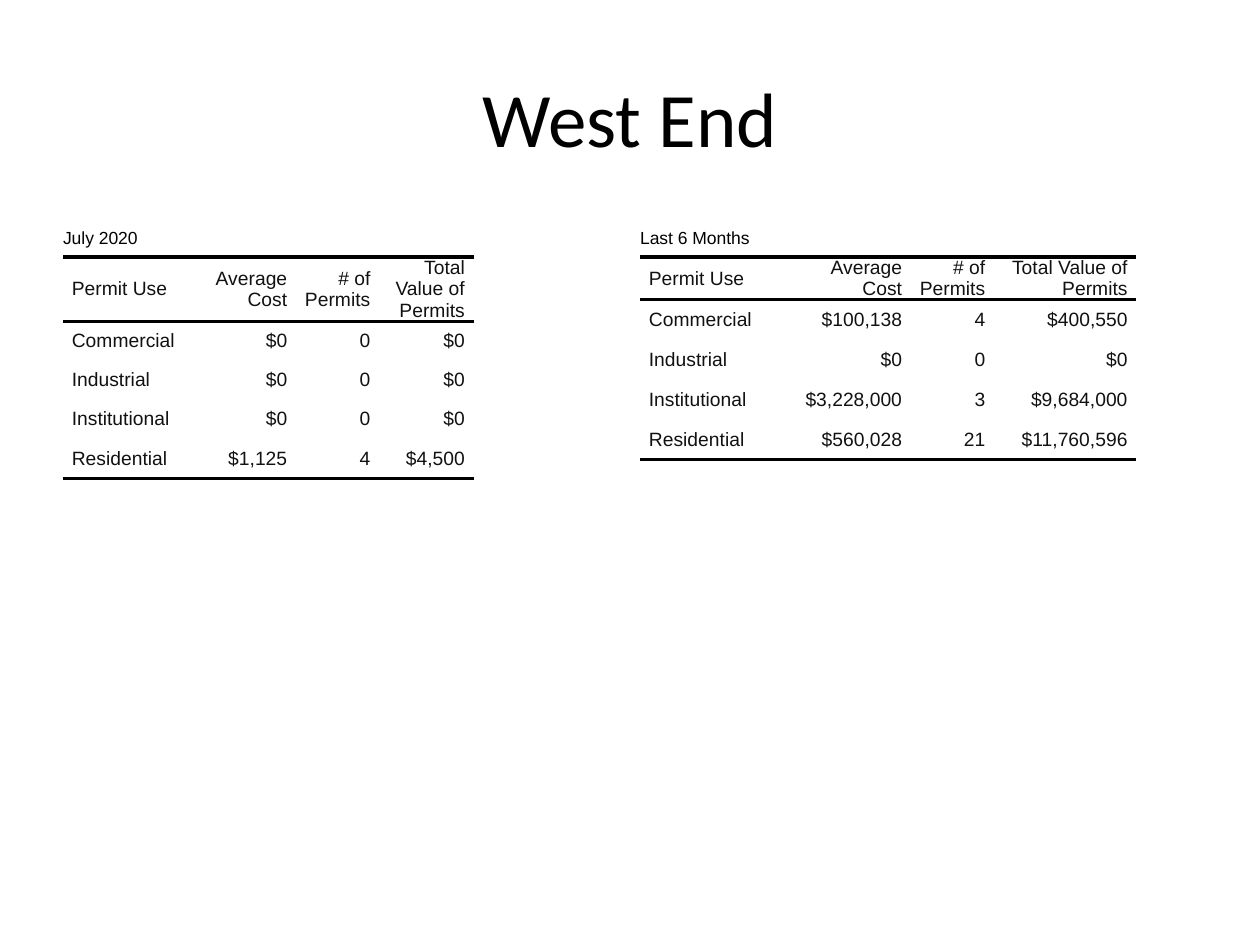
from dataclasses import dataclass

import pptx
import pptx.dml.color
import pptx.enum.text
import pptx.oxml
import pptx.oxml.ns
import pptx.util

EMU_PER_PX = 9144  # 100 px to the inch
PLAIN_TABLE_STYLE = "{2D5ABB26-0587-4C30-8999-92F81FD0307C}"
ALIGN = pptx.enum.text.PP_ALIGN
MIDDLE = pptx.enum.text.MSO_ANCHOR.MIDDLE
INDENT = 7
HEADER = ("Permit Use", "Average Cost", "# of Permits", "Total Value of Permits")
USES = ("Commercial", "Industrial", "Institutional", "Residential")


@dataclass
class PermitTable:
    caption: str
    left: int
    column_widths: tuple[int, ...]
    row_heights: tuple[int, ...]
    values: tuple[tuple[str, str, str], ...]


PERMIT_TABLES = (
    PermitTable(
        "July 2020", 50, (110, 75, 66, 75), (29, 29, 31, 31, 31, 32),
        (("$0", "0", "$0"), ("$0", "0", "$0"), ("$0", "0", "$0"),
         ("$1,125", "4", "$4,500")),
    ),
    PermitTable(
        "Last 6 Months", 508, (110, 105, 66, 113), (29, 29, 32, 31, 32, 32),
        (("$100,138", "4", "$400,550"), ("$0", "0", "$0"),
         ("$3,228,000", "3", "$9,684,000"), ("$560,028", "21", "$11,760,596")),
    ),
)


def px(length: int) -> pptx.util.Emu:
    return pptx.util.Emu(length * EMU_PER_PX)


def color(value: str) -> pptx.dml.color.RGBColor:
    return pptx.dml.color.RGBColor.from_string(value)


def format_paragraph(paragraph, font: str, size: int, ink: str, align) -> None:
    paragraph.alignment = align
    for run in paragraph.runs:
        run.font.name = font
        run.font.size = pptx.util.Pt(size)
        run.font.color.rgb = color(ink)


def add_rules(cell, sides: str) -> None:
    """Draw black 2 pt rules on the given sides, listed in the order T, B."""
    properties = cell._tc.get_or_add_tcPr()
    for index, side in enumerate(sides):
        line = pptx.oxml.parse_xml(
            f'<a:ln{side} {pptx.oxml.ns.nsdecls("a")} w="{pptx.util.Pt(2)}">'
            '<a:solidFill><a:srgbClr val="000000"/></a:solidFill>'
            f'</a:ln{side}>'
        )
        properties.insert(index, line)


def fill_cell(cell, text: str) -> None:
    cell.margin_left = cell.margin_right = cell.margin_top = cell.margin_bottom = 0
    cell.vertical_anchor = MIDDLE
    cell.fill.background()
    cell.text_frame.text = text


def add_permit_table(slide, data: PermitTable) -> None:
    rows = [HEADER] + [(use, *row) for use, row in zip(USES, data.values)]
    frame = slide.shapes.add_table(
        len(rows) + 1, len(HEADER), px(data.left), px(175), px(442), px(495)
    )
    table = frame.table
    table.first_row = table.horz_banding = False
    table._tbl.tblPr.find(pptx.oxml.ns.qn("a:tableStyleId")).text = PLAIN_TABLE_STYLE
    for column, width in zip(table.columns, data.column_widths):
        column.width = px(width)
    for row, height in zip(table.rows, data.row_heights):
        row.height = px(height)
    frame.width, frame.height = px(442), px(495)

    # Caption across the full width
    caption = table.cell(0, 0)
    caption.merge(table.cell(0, len(HEADER) - 1))
    fill_cell(caption, data.caption)
    format_paragraph(caption.text_frame.paragraphs[0], "Arial", 10, "000000", ALIGN.LEFT)

    # Header and value rows
    rules = {1: "TB", len(rows): "B"}
    for row_index, row in enumerate(rows, start=1):
        for column_index, text in enumerate(row):
            cell = table.cell(row_index, column_index)
            fill_cell(cell, text)
            add_rules(cell, rules.get(row_index, ""))
            paragraph = cell.text_frame.paragraphs[0]
            paragraph.space_after = pptx.util.Pt(2)
            properties = paragraph._p.get_or_add_pPr()
            for margin in ("marL", "marR"):
                properties.set(margin, str(px(INDENT)))
            align = ALIGN.RIGHT if column_index else ALIGN.LEFT
            format_paragraph(paragraph, "Arial", 11, "111111", align)


def add_title(slide, text: str) -> None:
    shape = slide.shapes.add_textbox(px(50), px(30), px(900), px(125))
    text_frame = shape.text_frame
    text_frame.word_wrap = True
    text_frame.vertical_anchor = MIDDLE
    text_frame.text = text
    format_paragraph(text_frame.paragraphs[0], "Calibri", 44, "000000", ALIGN.CENTER)


def main() -> None:
    presentation = pptx.Presentation()
    presentation.slide_width, presentation.slide_height = px(1000), px(750)
    slide = presentation.slides.add_slide(presentation.slide_layouts[6])
    for data in PERMIT_TABLES:
        add_permit_table(slide, data)
    add_title(slide, "West End")
    presentation.save("out.pptx")


if __name__ == "__main__":
    main()
